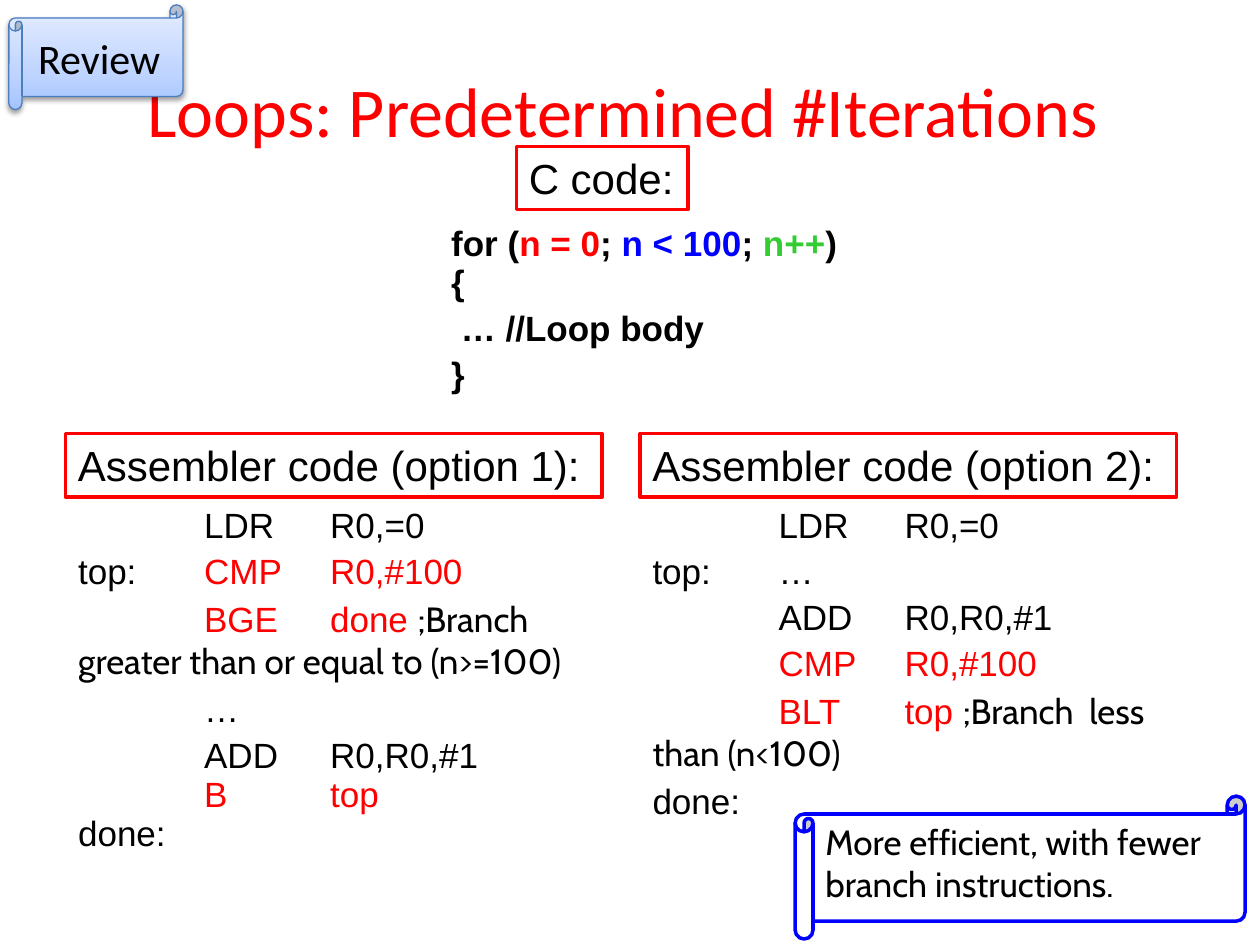
"""Builds a slide comparing a C for loop with two assembler versions."""
from copy import deepcopy

from lxml import etree
from pptx import Presentation
from pptx.dml.color import RGBColor
from pptx.enum.shapes import MSO_SHAPE
from pptx.enum.text import MSO_ANCHOR, MSO_AUTO_SIZE, PP_ALIGN
from pptx.oxml.ns import qn
from pptx.util import Cm, Pt

RECTANGLE, SCROLL = MSO_SHAPE.RECTANGLE, MSO_SHAPE.HORIZONTAL_SCROLL
TOP, MIDDLE = MSO_ANCHOR.TOP, MSO_ANCHOR.MIDDLE
LEFT, CENTER = PP_ALIGN.LEFT, PP_ALIGN.CENTER
NO_FIT, GROW = MSO_AUTO_SIZE.NONE, MSO_AUTO_SIZE.SHAPE_TO_FIT_TEXT

COLORS = {
    "black": "000000", "white": "FFFFFF", "red": "FF0000", "blue": "0000FF",
    "green": "33CC33", "steel": "4B7EBC",
    "sky": "A4C4FF", "pale sky": "BFD4FF", "mist": "E6EEFF",
}
BREAK = ("\n",)

LOOP_CODE = [
    [("for (",), ("n = 0", "red"), ("; ",), ("n < 100", "blue"), ("; ",),
     ("n++", "green"), (")",), BREAK, ("{",)],
    [(" … //Loop body",)],
    [("}",)],
]
TEST_FIRST = [
    [("\tLDR\tR0,=0",)],
    [("top:\t",), ("CMP\tR0,#100", "red")],
    [("\tBGE\tdone ", "red"),
     (";Branch  greater than or equal to (n>=100)", "black", "Cabin")],
    [("\t…",)],
    [("\tADD\tR0,R0,#1",), BREAK, ("\tB\ttop", "red"), BREAK, ("done:",)],
]
TEST_LAST = [
    [("\tLDR\tR0,=0",)],
    [("top:\t…",)],
    [("\tADD\tR0,R0,#1",)],
    [("\tCMP\tR0,#100", "red")],
    [("\tBLT\ttop ", "red"),
     (";Branch  less than (n<100)", "black", "Cabin")],
    [("done:",)],
]


def rgb(name):
    """Return the named colour."""
    return RGBColor.from_string(COLORS[name])


class LoopSlide:
    """Holds the slide and the style of its elements."""

    code_size, label_size, title_size = 20, 24, 40
    tab_stops = (2.54, 5.08)

    def __init__(self, presentation):
        """Add a slide that has only a title."""
        self.slide = presentation.slides.add_slide(presentation.slide_layouts[5])

    def style(self, run, size, font="Arial", color="black", bold=False):
        """Format one run."""
        run.font.size, run.font.name, run.font.bold = Pt(size), font, bold
        run.font.color.rgb = rgb(color)

    def title(self, words, left, top, width, height):
        """Fill and place the title."""
        title = self.slide.shapes.title
        title.left, title.top = Cm(left), Cm(top)
        title.width, title.height = Cm(width), Cm(height)
        frame = title.text_frame
        frame.text = words
        frame.auto_size, frame.vertical_anchor = NO_FIT, MIDDLE
        frame.paragraphs[0].alignment = CENTER
        self.style(frame.paragraphs[0].runs[0], self.title_size, "Calibri", "red")

    def set_tabs(self, paragraph):
        """Align the code columns of a paragraph."""
        properties = paragraph._p.get_or_add_pPr()
        tabs = etree.SubElement(properties, qn("a:tabLst"))
        for position in self.tab_stops:
            etree.SubElement(tabs, qn("a:tab"), pos=str(Cm(position)), algn="l")

    def code(self, frame, lines, bold):
        """Write coloured code lines into a text frame."""
        for index, parts in enumerate(lines):
            paragraph = frame.add_paragraph() if index else frame.paragraphs[0]
            if index:
                paragraph.space_before = Pt(self.code_size * 0.2)
            self.set_tabs(paragraph)
            for words, *look in parts:
                if words == "\n":
                    paragraph.add_line_break()
                    continue
                run = paragraph.add_run()
                run.text = words
                color, font = look + ["black", "Arial"][len(look):]
                self.style(run, self.code_size, font, color, bold)

    def code_table(self, listings, left, top, column_width, row_heights, bold=False):
        """Put the listings side by side in the first row of a plain table."""
        table = self.slide.shapes.add_table(
            len(row_heights), len(listings), Cm(left), Cm(top),
            Cm(column_width * len(listings)), Cm(sum(row_heights))).table
        table.first_row = table.horz_banding = False
        for row, height in zip(table.rows, row_heights):
            row.height = Cm(height)
        for cell in table.iter_cells():
            cell.fill.background()
        for column, listing in enumerate(listings):
            table.columns[column].width = Cm(column_width)
            self.code(table.cell(0, column).text_frame, listing, bold)

    def panel(self, kind, words, box, line, size, font="Arial",
              weight=2, anchor=TOP, align=LEFT):
        """Add a white outlined shape with text."""
        shape = self.slide.shapes.add_shape(kind, *map(Cm, box))
        shape.shadow.inherit = False
        shape.fill.solid()
        shape.fill.fore_color.rgb = rgb("white")
        shape.line.color.rgb, shape.line.width = rgb(line), Pt(weight)
        frame = shape.text_frame
        frame.text = words
        frame.word_wrap, frame.vertical_anchor = True, anchor
        frame.paragraphs[0].alignment = align
        self.style(frame.paragraphs[0].runs[0], size, font)
        return shape

    def heading(self, words, left, top, width):
        """Add a red-framed heading."""
        box = (left, top, width, 1.28)
        label = self.panel(RECTANGLE, words, box, "red", self.label_size)
        label.text_frame.auto_size = GROW

    def badge(self, words, box):
        """Add a shaded scroll with a soft shadow."""
        badge = self.panel(SCROLL, words, box, "steel", self.label_size,
                           "Calibri", 0.75, MIDDLE, CENTER)
        badge.fill.gradient()
        badge.fill.gradient_angle = 90
        properties = badge._element.spPr
        stop_list = properties.find(".//" + qn("a:gsLst"))
        stop_list.append(deepcopy(stop_list[-1]))
        shades = [(0, "sky"), (0.35, "pale sky"), (1, "mist")]
        for stop, (position, color) in zip(badge.fill.gradient_stops, shades):
            stop.position, stop.color.rgb = position, rgb(color)
        shadow = etree.SubElement(
            properties.find(qn("a:effectLst")), qn("a:outerShdw"),
            blurRad=str(Pt(3.1)), dist=str(Pt(1.6)), dir="5400000", rotWithShape="0")
        tint = etree.SubElement(shadow, qn("a:srgbClr"), val=COLORS["black"])
        etree.SubElement(tint, qn("a:alpha"), val="38000")


def main():
    """Build and save the slide."""
    presentation = Presentation()
    presentation.slide_width, presentation.slide_height = Cm(25.4), Cm(19.05)
    page = LoopSlide(presentation)
    margin, column = 1.32, 11.58

    page.title("Loops: Predetermined #Iterations", 1.76, 0.61, 21.59, 3.18)
    page.code_table([LOOP_CODE], 8.84, 4.4, 8.61, [3.45, 1.55], bold=True)
    page.code_table([TEST_FIRST, TEST_LAST], margin, 10.08, column, [8.84])
    for option in (1, 2):
        page.heading(f"Assembler code (option {option}):",
                     margin + (option - 1) * column, 8.74, 10.82)
    page.heading("C code:", 10.41, 2.95, 3.46)
    page.panel(SCROLL, "More efficient, with fewer branch instructions.",
               (16.03, 16.05, 9.07, 2.88), "blue", page.code_size, "Cabin")
    page.badge("Review", (0.18, 0.1, 3.51, 2.11))
    presentation.save("out.pptx")


if __name__ == "__main__":
    main()
